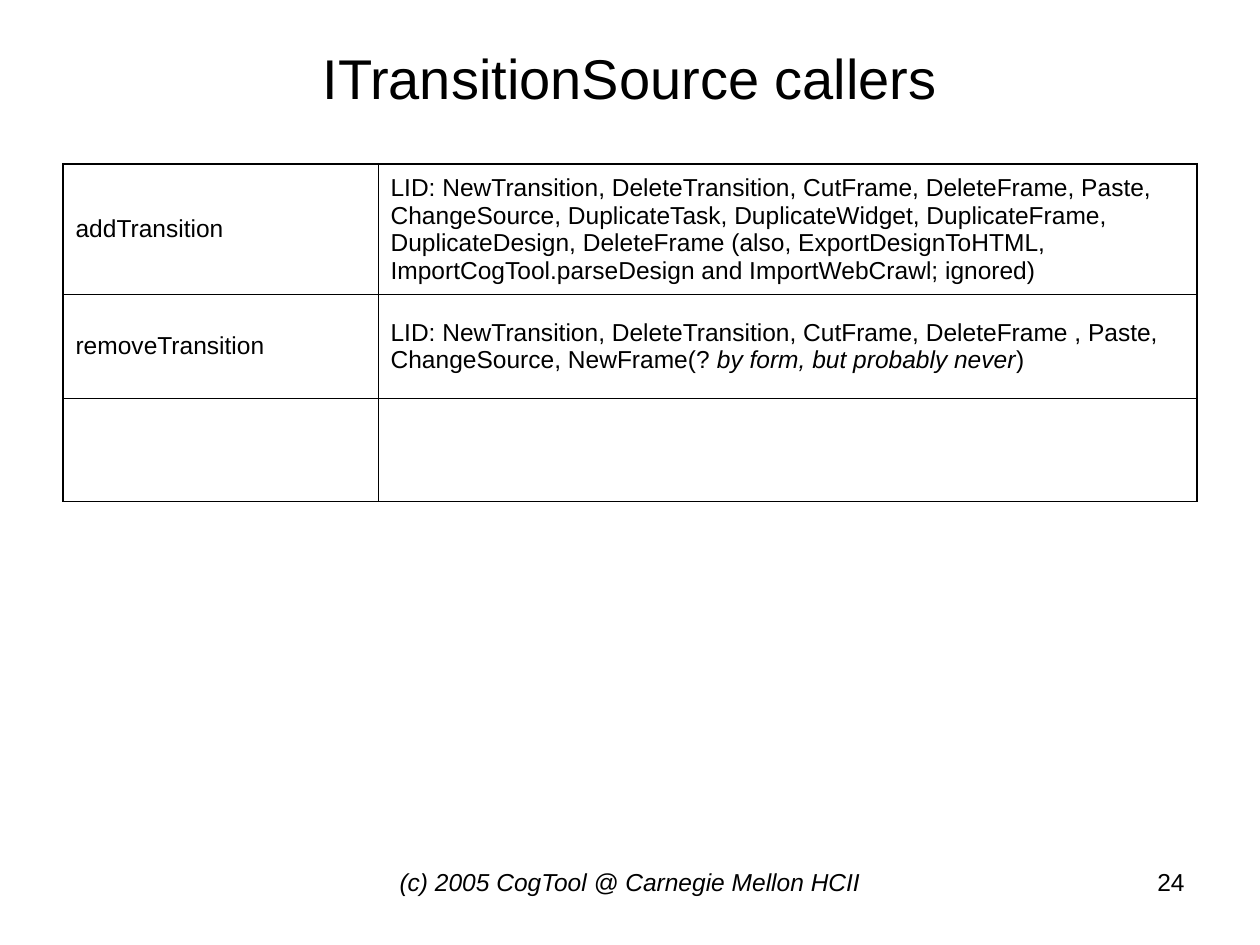
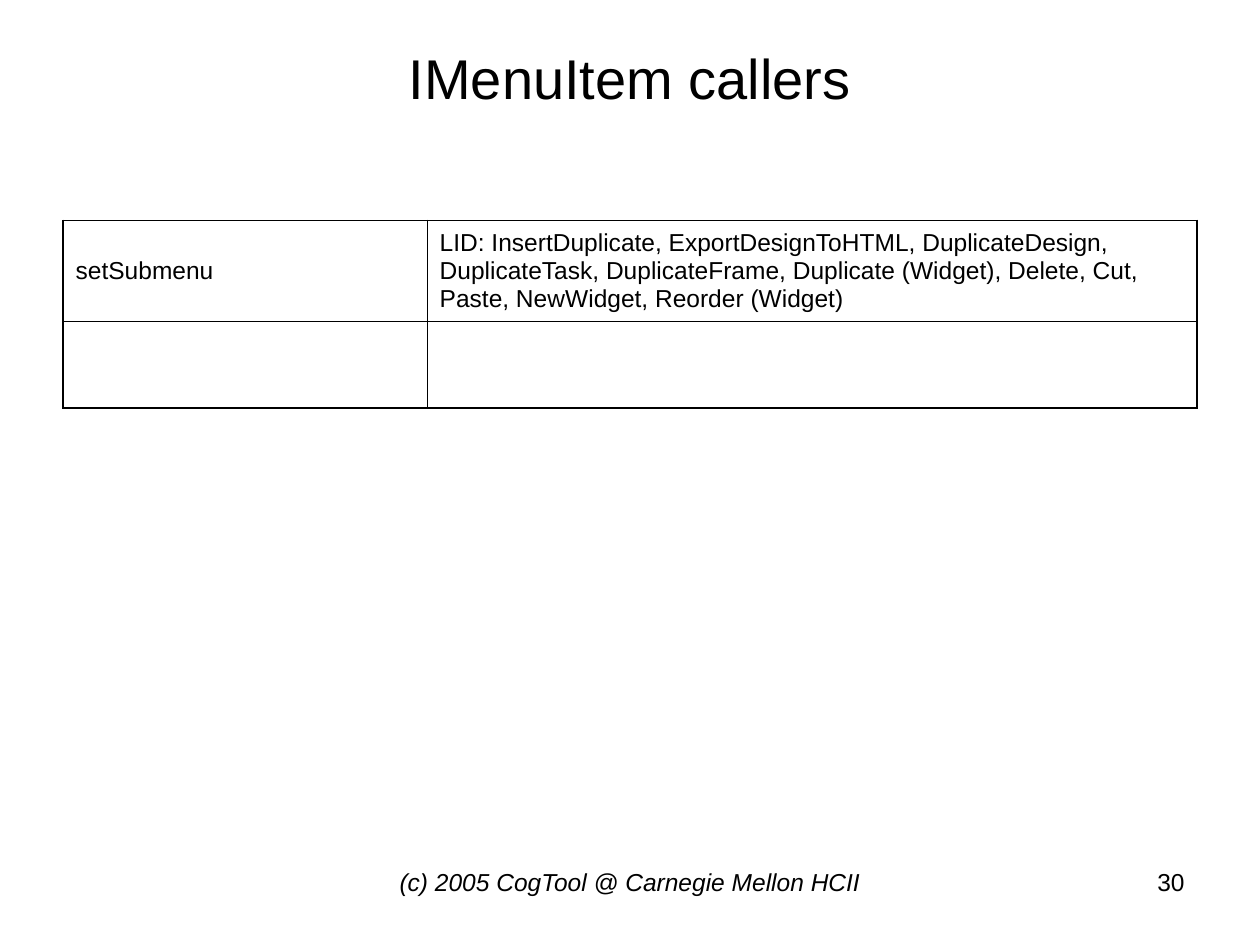
import dataclasses

import lxml.etree
import pptx
import pptx.dml.color
import pptx.enum.text
import pptx.oxml.ns
import pptx.util

ALIGN = pptx.enum.text.PP_ALIGN
ANCHOR = pptx.enum.text.MSO_ANCHOR
WIDE, HIGH = pptx.util.Inches(10), pptx.util.Inches(7.5)
GRID = 60  # columns across and rows down the slide


@dataclasses.dataclass(frozen=True)
class Theme:
    font: str = "Arial"
    ink: str = "000000"
    title: int = 32
    body: int = 14
    outer: float = 1.08
    inner: float = 0.45


@dataclasses.dataclass(frozen=True)
class Box:
    """An area in grid columns and rows."""
    left: float
    top: float
    width: float
    height: float

    def place(self):
        return cols(self.left), rows(self.top), cols(self.width), rows(self.height)


THEME = Theme()
TITLE = Box(3, 2.4, 54, 4.96)
FOOTER = Box(3, 54.64, 54, 4.16)
CREDIT = "(c) 2005 CogTool @ Carnegie Mellon HCII"


def cols(count):
    return round(WIDE * count / GRID)


def rows(count):
    return round(HIGH * count / GRID)


def write(frame, runs, size, align=ALIGN.LEFT):
    """Fill the first paragraph with (text, italic) runs."""
    para = frame.paragraphs[0]
    para.alignment = align
    for text, italic in runs:
        run = para.add_run()
        run.text = text
        run.font.name = THEME.font
        run.font.size = pptx.util.Pt(size)
        run.font.italic = italic
        run.font.color.rgb = pptx.dml.color.RGBColor.from_string(THEME.ink)


def label(slide, box, runs, size, align, anchor=ANCHOR.TOP):
    frame = slide.shapes.add_textbox(*box.place()).text_frame
    frame.word_wrap = True
    frame.vertical_anchor = anchor
    write(frame, runs, size, align)


def border(cell, edges):
    """Rule each side of a cell: thick on the table's edge, thin inside."""
    props = cell._tc.get_or_add_tcPr()
    tag = pptx.oxml.ns.qn
    for side in "LRTB":
        width = THEME.outer if side in edges else THEME.inner
        line = lxml.etree.SubElement(props, tag(f"a:ln{side}"), w=str(pptx.util.Pt(width)))
        fill = lxml.etree.SubElement(line, tag("a:solidFill"))
        lxml.etree.SubElement(fill, tag("a:srgbClr"), val=THEME.ink)


def grid(slide, box, first, heights, cells):
    """Draw a two-column table whose first column is `first` grid columns wide."""
    widths = [first, box.width - first]
    table = slide.shapes.add_table(len(heights), len(widths), *box.place()).table
    table.first_row = table.horz_banding = False
    for column, width in zip(table.columns, widths):
        column.width = cols(width)
    for r, height in enumerate(heights):
        table.rows[r].height = rows(height)
        for c in range(len(widths)):
            cell = table.cell(r, c)
            edges = "LR"[c]
            edges += "T" if r == 0 else ""
            edges += "B" if r == len(heights) - 1 else ""
            border(cell, edges)
            cell.fill.background()
            cell.vertical_anchor = ANCHOR.MIDDLE
            if r < len(cells):
                write(cell.text_frame, cells[r][c], THEME.body)


def footer(slide, box, number):
    """Centre the credit in the box, with the page number at its right."""
    credit = Box(box.left + 14, box.top, 26, box.height)
    page = Box(box.left + 40, box.top, 14, box.height)
    label(slide, credit, [(CREDIT, True)], THEME.body, ALIGN.CENTER)
    label(slide, page, [(str(number), False)], THEME.body, ALIGN.RIGHT)


def callers(deck, name, number, top, first, heights, cells):
    """Add a slide that lists who calls each method of one interface."""
    slide = deck.slides.add_slide(deck.slide_layouts[6])
    label(slide, TITLE, [(f"{name} callers", False)], THEME.title, ALIGN.CENTER, ANCHOR.MIDDLE)
    grid(slide, Box(3, top, 54, sum(heights)), first, heights, cells)
    footer(slide, FOOTER, number)


def main():
    deck = pptx.Presentation()
    deck.slide_width, deck.slide_height = WIDE, HIGH
    callers(deck, "ITransitionSource", 24, 10.4, 15, [8.32, 6.56, 6.56], [
        ([("addTransition", False)],
         [("LID: NewTransition, DeleteTransition, CutFrame, DeleteFrame, Paste, "
           "ChangeSource, DuplicateTask, DuplicateWidget, DuplicateFrame, "
           "DuplicateDesign, DeleteFrame (also, ExportDesignToHTML, "
           "ImportCogTool.parseDesign and ImportWebCrawl; ignored)", False)]),
        ([("removeTransition", False)],
         [("LID: NewTransition, DeleteTransition, CutFrame, DeleteFrame , Paste, "
           "ChangeSource, NewFrame(? ", False),
          ("by form, but probably never", True),
          (")", False)]),
    ])
    callers(deck, "IMenuItem", 30, 14, 17.34, [6.4, 5.52], [
        ([("setSubmenu", False)],
         [("LID: InsertDuplicate, ExportDesignToHTML, DuplicateDesign, "
           "DuplicateTask, DuplicateFrame, Duplicate (Widget), Delete, Cut, "
           "Paste, NewWidget, Reorder (Widget)", False)]),
    ])
    deck.save("out.pptx")


if __name__ == "__main__":
    main()
